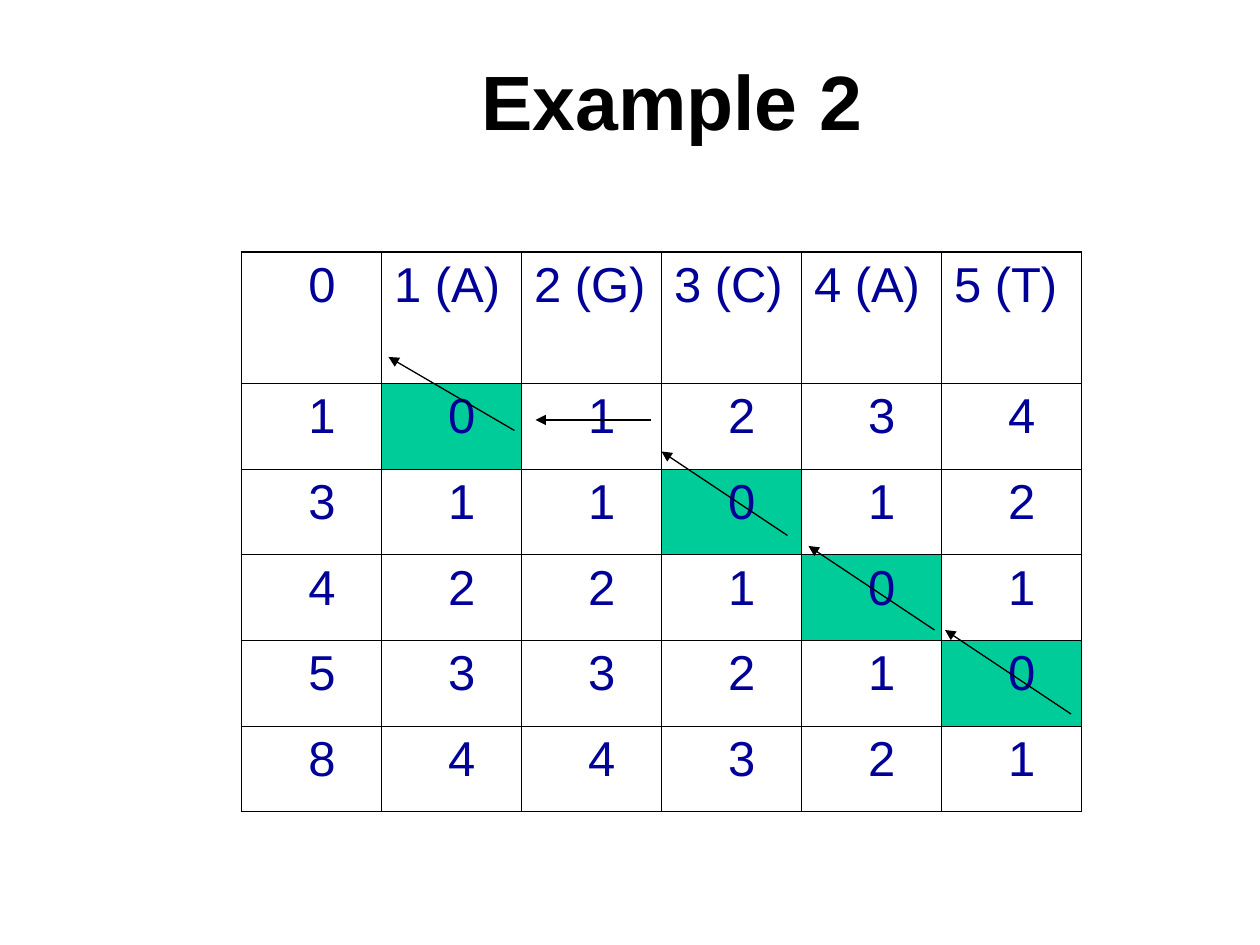
"""Build a slide with an edit distance table and its traceback arrows."""
from lxml.etree import SubElement
from pptx import Presentation
from pptx.dml.color import RGBColor
from pptx.enum.shapes import MSO_CONNECTOR
from pptx.enum.text import MSO_ANCHOR, PP_ALIGN
from pptx.oxml.ns import qn
from pptx.util import Inches, Pt

BLACK = RGBColor(0x00, 0x00, 0x00)
NAVY = RGBColor(0x00, 0x00, 0x99)
GREEN = RGBColor(0x00, 0xCC, 0x99)

TITLE = "Example 2"
ROWS = [
    ["0", "1 (A)", "2 (G)", "3 (C)", "4 (A)", "5 (T)"],
    ["1", "0", "1", "2", "3", "4"],
    ["3", "1", "1", "0", "1", "2"],
    ["4", "2", "2", "1", "0", "1"],
    ["5", "3", "3", "2", "1", "0"],
    ["8", "4", "4", "3", "2", "1"],
]
ARROWS = [
    (102, 68, 90, 60),
    (89, 60, 77, 52),
    (75, 51, 63, 43),
    (62, 40, 51, 40),
    (49, 41, 37, 34),
]
TITLE_BOX = (13, 2, 102, 15)
TABLE_BOX = (23, 24, 80, 53.3)
HEAD = 12.5
INDENT = 0.43
THIN, THICK = 0.45, 1.08


def grid(*units):
    """Turn twelfths of an inch into slide lengths."""
    return [Inches(unit / 12) for unit in units]


def write(para, text, size, color, bold=False):
    """Add one run of text."""
    run = para.add_run()
    run.text = text
    font = run.font
    font.name, font.size, font.bold = "Arial", Pt(size), bold
    font.color.rgb = color


def border(cell, sides):
    """Draw the sides of a cell, given as tag and width."""
    props = cell._tc.get_or_add_tcPr()
    for tag, width in sides:
        line = SubElement(props, qn(f"a:{tag}"), w=str(Pt(width)))
        fill = SubElement(line, qn("a:solidFill"))
        SubElement(fill, qn("a:srgbClr"), val=str(BLACK))


def add_title(slide):
    frame = slide.shapes.add_textbox(*grid(*TITLE_BOX)).text_frame
    frame.word_wrap = True
    frame.vertical_anchor = MSO_ANCHOR.MIDDLE
    para = frame.paragraphs[0]
    para.alignment = PP_ALIGN.CENTER
    write(para, TITLE, 44, BLACK, True)


def add_grid(slide):
    count, last = len(ROWS), len(ROWS[0]) - 1
    table = slide.shapes.add_table(count, last + 1, *grid(*TABLE_BOX)).table
    table.first_row = table.horz_banding = False
    body = (TABLE_BOX[3] - HEAD) / (count - 1)
    for r, row in enumerate(ROWS):
        table.rows[r].height = grid(body if r else HEAD)[0]
        for c, text in enumerate(row):
            cell = table.cell(r, c)
            edges = {"lnL": c == 0, "lnR": c == last,
                     "lnT": r == 0, "lnB": r == count - 1}
            border(cell, [(tag, THICK if outer else THIN)
                          for tag, outer in edges.items()])
            if r and text == "0":
                cell.fill.solid()
                cell.fill.fore_color.rgb = GREEN
            else:
                cell.fill.background()
            para = cell.text_frame.paragraphs[0]
            if len(text) == 1:
                para._p.get_or_add_pPr().set("marL", str(Inches(INDENT)))
            write(para, text, 28, NAVY)


def add_arrow(slide, ends):
    arrow = slide.shapes.add_connector(MSO_CONNECTOR.STRAIGHT, *grid(*ends))
    arrow.line.color.rgb = BLACK
    arrow.line.width = Pt(0.75)
    SubElement(arrow.line._get_or_add_ln(), qn("a:tailEnd"), type="triangle")
    SubElement(arrow._element.spPr, qn("a:effectLst"))


def main():
    deck = Presentation()
    deck.slide_width, deck.slide_height = Inches(10), Inches(7.5)
    slide = deck.slides.add_slide(deck.slide_layouts[6])
    add_title(slide)
    add_grid(slide)
    for ends in ARROWS:
        add_arrow(slide, ends)
    deck.save("out.pptx")


if __name__ == "__main__":
    main()
